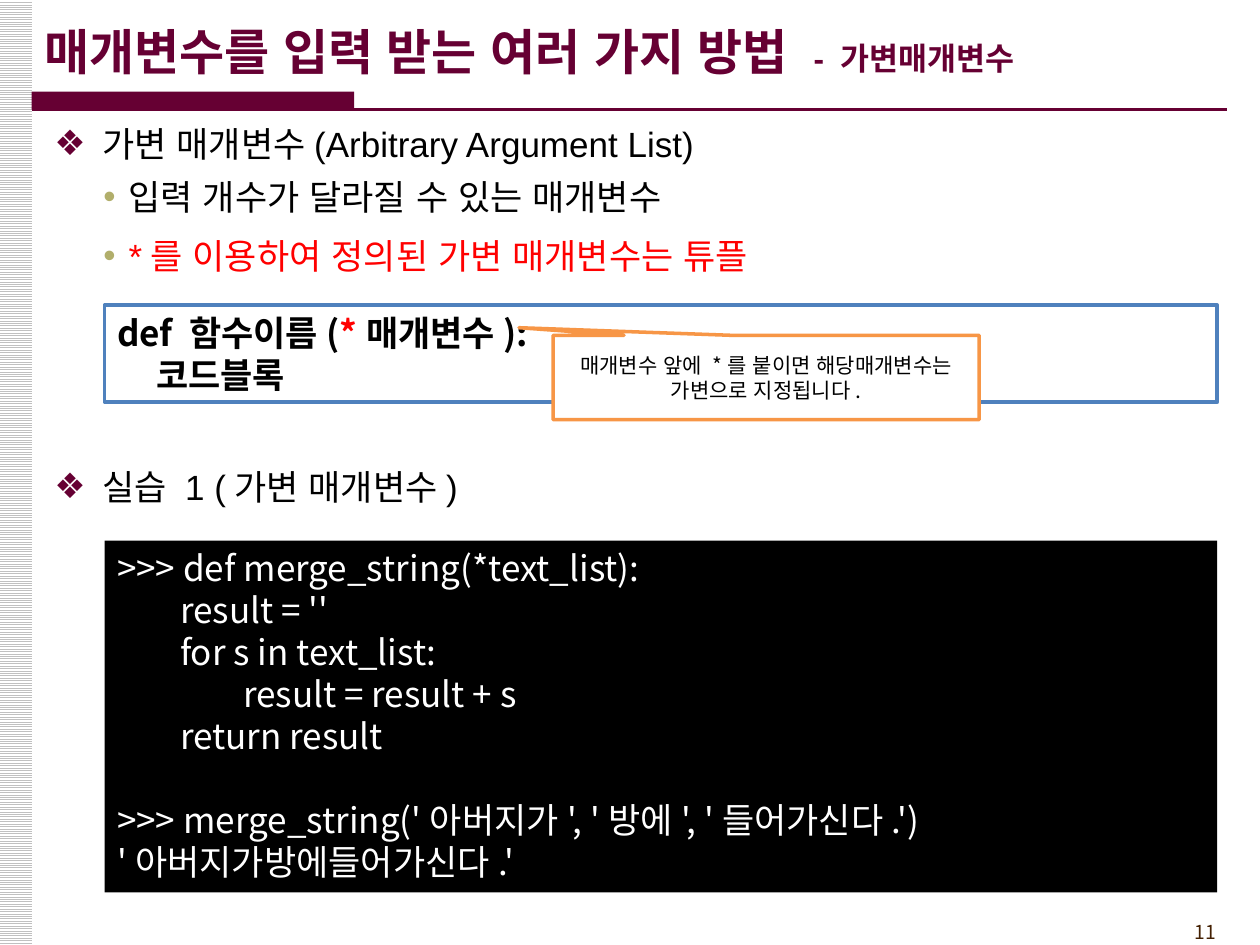
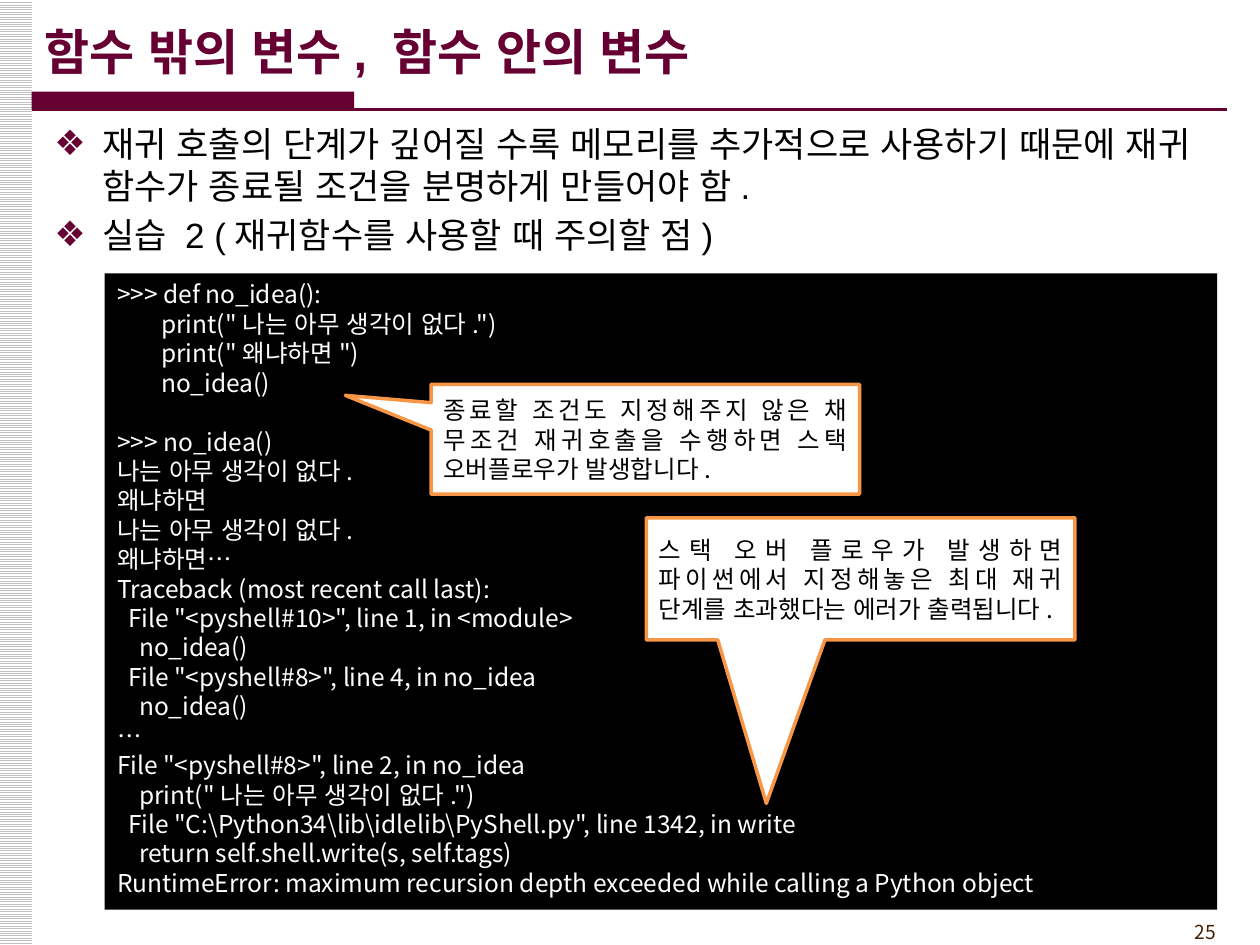
from lxml import etree
from pptx import Presentation
from pptx import util as u
from pptx.dml import color as dml_color
from pptx.enum import dml, lang, shapes, text
from pptx.oxml import ns

# Content
KOREAN_FONT, BODY_FONT = "Noto Sans CJK KR", "Arial"
COLORS = {
    "theme": "660033", "stripe": "C0C0C0", "number": "452103", "dot": "B1AE6B",
    "syntax": "4F81BD", "callout": "F79646", "accent": "FF0000",
    "black": "000000", "white": "FFFFFF",
}

MERGE_CODE = """\
>>> def merge_string(*text_list):
        result = ''
        for s in text_list:
                result = result + s
        return result

>>> merge_string('아버지가', '방에', '들어가신다.')
'아버지가방에들어가신다.'"""

RECURSION_CODE = r"""
>>> def no_idea():
        print("나는 아무 생각이 없다.")
        print("왜냐하면")
        no_idea()

>>> no_idea()
나는 아무 생각이 없다.
왜냐하면
나는 아무 생각이 없다.
왜냐하면…
Traceback (most recent call last):
  File "<pyshell#10>", line 1, in <module>
    no_idea()
  File "<pyshell#8>", line 4, in no_idea
    no_idea()
…
File "<pyshell#8>", line 2, in no_idea
    print("나는 아무 생각이 없다.")
  File "C:\Python34\lib\idlelib\PyShell.py", line 1342, in write
    return self.shell.write(s, self.tags)
RuntimeError: maximum recursion depth exceeded while calling a Python object""".strip()

# Bullets: level, text, colour, space before in points (None keeps the template's)
# Code and callouts: text, size, position in cm
PAGES = [
    {
        "number": "11",
        "title": [("매개변수를 입력 받는 여러 가지 방법 ", 28), ("- 가변매개변수", 18)],
        "bullets": [
            (0, "가변 매개변수(Arbitrary Argument List)", "black", None),
            (1, "입력 개수가 달라질 수 있는 매개변수", "black", None),
            (1, "*를 이용하여 정의된 가변 매개변수는 튜플", "accent", None),
            (0, "실습 1 (가변 매개변수)", "black", 105),
        ],
        "syntax": [
            (0, [("def 함수이름(", "black"), ("*", "accent"), ("매개변수):", "black")]),
            (0.79, [("코드블록", "black")]),
        ],
        "code": (MERGE_CODE, 20, 10.9, 7.09),
        "callouts": [
            {"text": "매개변수 앞에 *를 붙이면 해당매개변수는 가변으로 지정됩니다.",
             "size": 12, "align": text.PP_ALIGN.CENTER,
             "at": (11.15, 6.76, 8.59, 1.7), "tail": (-0.58, -0.59)},
        ],
    },
    {
        "number": "25",
        "title": [("함수 밖의 변수, 함수 안의 변수", 28)],
        "bullets": [
            (0, "재귀 호출의 단계가 깊어질 수록 메모리를 추가적으로 사용하기 때문에 재귀 "
                "함수가 종료될 조건을 분명하게 만들어야 함.", "black", None),
            (0, "실습 2 (재귀함수를 사용할 때 주의할 점)", "black", None),
        ],
        "syntax": [],
        "code": (RECURSION_CODE, 14, 5.51, 12.83),
        "callouts": [
            {"text": "종료할 조건도 지정해주지 않은 채 무조건 재귀호출을 수행하면 스택 "
                     "오버플로우가 발생합니다.",
             "size": 14, "align": text.PP_ALIGN.JUSTIFY,
             "at": (8.69, 7.75, 8.64, 2.21), "tail": (-0.7, -0.4)},
            {"text": "스택 오버 플로우가 발생하면 파이썬에서 지정해놓은 최대 재귀 단계를 "
                     "초과했다는 에러가 출력됩니다.",
             "size": 14, "align": text.PP_ALIGN.JUSTIFY,
             "at": (13.03, 10.44, 8.64, 2.46), "tail": (-0.22, 1.84)},
        ],
    },
]

# Layout in cm
PAGE_WIDTH, PAGE_HEIGHT = 25.4, 19.05
STRIPE_WIDTH = 0.64
BAND = (STRIPE_WIDTH, 1.85, 6.5, 0.36)
RULE_END = 24.74
TITLE_AT = (STRIPE_WIDTH, 0.23, 24.7, 1.6)
BODY_AT = (0.84, 2.34, 24.13, 15.88)
NUMBER_AT = (22.66, 18.42, 2.11, 0.74)
BOX_LEFT, BOX_WIDTH = 2.11, 22.43
SYNTAX_TOP, SYNTAX_HEIGHT = 6.15, 1.96
BULLETS = [("❖", "theme", 0.97, -0.97), ("•", "dot", 1.5, -0.51)]
SPACE_EM, LINE_EM = 0.225, 1.2  # width of a space and height of a line


def rgb(name):
    return dml_color.RGBColor.from_string(COLORS[name])


def lengths(values):
    return [u.Cm(value) for value in values]


def next_para(frame):
    """Return the unused first paragraph, or a new one."""
    first = frame.paragraphs[0]
    return frame.add_paragraph() if first.runs else first


def add_text(para, words, size=20, color="black", bold=False, font=KOREAN_FONT):
    span = para.add_run()
    span.text = words
    span.font.size = u.Pt(size)
    span.font.bold = bold
    span.font.color.rgb = rgb(color)
    span.font.name = font
    span.font.language_id = lang.MSO_LANGUAGE_ID.KOREAN
    east_asian = etree.SubElement(span.font._element, ns.qn("a:ea"))
    east_asian.set("typeface", KOREAN_FONT)


def set_indent(para, left, first=0):
    props = para._p.get_or_add_pPr()
    props.set("marL", str(int(left)))
    props.set("indent", str(int(first)))
    return props


def add_box(page, at, fill, line=None, kind=shapes.MSO_SHAPE.RECTANGLE,
            anchor=text.MSO_ANCHOR.TOP):
    box = page.shapes.add_shape(kind, *lengths(at))
    box.shadow.inherit = False
    box.fill.solid()
    box.fill.fore_color.rgb = rgb(fill)
    if line:
        box.line.color.rgb = rgb(line)
        box.line.width = u.Pt(2)
    else:
        box.line.fill.background()
    box.text_frame.word_wrap = True
    box.text_frame.vertical_anchor = anchor
    return box


def place(holder, at):
    holder.left, holder.top, holder.width, holder.height = lengths(at)
    holder.text_frame.word_wrap = True
    holder.text_frame.auto_size = text.MSO_AUTO_SIZE.NONE
    return holder.text_frame


def add_frame(page, number):
    """Side stripe, title band with its rule, and the page number."""
    stripe = add_box(page, (0, 0, STRIPE_WIDTH, PAGE_HEIGHT), "white")
    stripe.fill.patterned()
    stripe.fill.pattern = dml.MSO_PATTERN.LIGHT_HORIZONTAL
    stripe.fill.fore_color.rgb = rgb("stripe")
    stripe.fill.back_color.rgb = rgb("white")

    add_box(page, BAND, "theme")
    rule_y = BAND[1] + BAND[3]
    rule = page.shapes.add_connector(
        shapes.MSO_CONNECTOR.STRAIGHT, *lengths((BAND[0], rule_y, RULE_END, rule_y)))
    rule.line.color.rgb = rgb("theme")
    rule.line.width = u.Pt(1.5)
    etree.SubElement(rule._element.spPr, ns.qn("a:effectLst"))

    box = page.shapes.add_textbox(*lengths(NUMBER_AT))
    box.text_frame.word_wrap = True
    para = next_para(box.text_frame)
    para.alignment = text.PP_ALIGN.RIGHT
    add_text(para, number, size=11, color="number")


def add_title(page, parts):
    frame = place(page.shapes.title, TITLE_AT)
    frame.vertical_anchor = text.MSO_ANCHOR.MIDDLE
    para = next_para(frame)
    para.alignment = text.PP_ALIGN.LEFT
    for words, size in parts:
        add_text(para, words, size=size, color="theme", bold=True, font=BODY_FONT)


def add_bullets(page, items):
    frame = place(page.placeholders[1], BODY_AT)
    for level, words, color, before in items:
        para = next_para(frame)
        para.level = level
        if level:
            para.line_spacing = 1.1
            para.space_after = u.Pt(3)
        if before:
            para.space_before = u.Pt(before)
        sign, sign_color, left, first = BULLETS[level]
        props = set_indent(para, u.Cm(left), u.Cm(first))
        tint = etree.SubElement(props, ns.qn("a:buClr"))
        etree.SubElement(tint, ns.qn("a:srgbClr")).set("val", COLORS[sign_color])
        etree.SubElement(props, ns.qn("a:buChar")).set("char", sign)
        add_text(para, words, color=color, font=BODY_FONT)


def add_syntax(page, lines):
    box = add_box(page, (BOX_LEFT, SYNTAX_TOP, BOX_WIDTH, SYNTAX_HEIGHT),
                  "white", "syntax")
    for left, parts in lines:
        para = next_para(box.text_frame)
        para.alignment = text.PP_ALIGN.LEFT
        set_indent(para, u.Cm(left))
        for words, color in parts:
            add_text(para, words, color=color, bold=True)


def add_code(page, code, size, top, height):
    """Leading spaces become indents, and an empty line becomes space before."""
    box = add_box(page, (BOX_LEFT, top, BOX_WIDTH, height), "black")
    gap = 0
    for line in code.splitlines():
        if not line:
            gap = size * LINE_EM
            continue
        words = line.lstrip()
        para = next_para(box.text_frame)
        para.alignment = text.PP_ALIGN.JUSTIFY
        para.space_before = u.Pt(gap)
        set_indent(para, u.Pt((len(line) - len(words)) * size * SPACE_EM))
        add_text(para, words, size=size, color="white")
        gap = 0


def add_callout(page, note):
    box = add_box(page, note["at"], "white", "callout",
                  shapes.MSO_SHAPE.RECTANGULAR_CALLOUT, text.MSO_ANCHOR.MIDDLE)
    for index, value in enumerate(note["tail"]):
        box.adjustments[index] = value
    para = next_para(box.text_frame)
    para.alignment = note["align"]
    add_text(para, note["text"], size=note["size"])


def main():
    deck = Presentation()
    deck.slide_width, deck.slide_height = lengths((PAGE_WIDTH, PAGE_HEIGHT))
    for content in PAGES:
        page = deck.slides.add_slide(deck.slide_layouts[1])
        add_frame(page, content["number"])
        add_title(page, content["title"])
        add_bullets(page, content["bullets"])
        if content["syntax"]:
            add_syntax(page, content["syntax"])
        add_code(page, *content["code"])
        for note in content["callouts"]:
            add_callout(page, note)
    deck.save("out.pptx")


if __name__ == "__main__":
    main()
